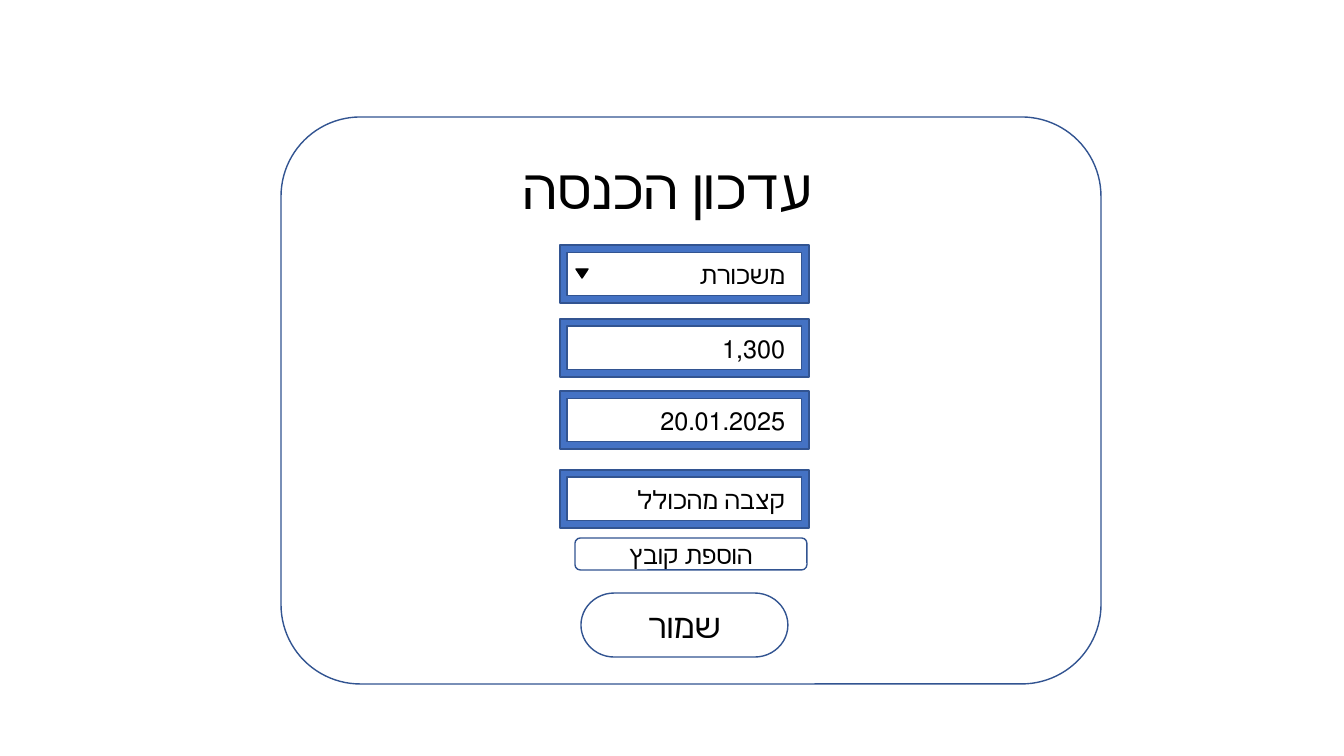
from pptx import Presentation
from pptx.dml.color import RGBColor
from pptx.enum.lang import MSO_LANGUAGE_ID as Lang
from pptx.enum.shapes import MSO_SHAPE as Shape
from pptx.enum.text import MSO_ANCHOR as Anchor, MSO_AUTO_SIZE as AutoSize, PP_ALIGN as Align
from pptx.util import Emu, Pt

EMU_PER_PX = 914400 / 100.8


def px(length):
    return Emu(round(length * EMU_PER_PX))


def color(hex_code):
    return RGBColor.from_string(hex_code)


class FormSlide:
    FONT = "Calibri"
    INK = "000000"
    PAPER = "FFFFFF"
    ACCENT = "4472C4"
    OUTLINE = "325491"

    def __init__(self, slide):
        self.slide = slide

    def set_text(self, frame, text, size, align):
        """Fill a text frame with one right-to-left paragraph."""
        frame.word_wrap = True
        paragraph = frame.paragraphs[0]
        paragraph.alignment = align
        paragraph._p.get_or_add_pPr().set("rtl", "1")
        run = paragraph.add_run()
        run.text = text
        run.font.name = self.FONT
        run.font.size = Pt(size)
        run.font.color.rgb = color(self.INK)
        run.font.language_id = Lang.HEBREW
        return paragraph

    def shape(self, kind, box, fill=PAPER, line=OUTLINE, parent=None):
        owner = parent or self.slide
        shape = owner.shapes.add_shape(kind, *map(px, box))
        shape.shadow.inherit = False
        shape.fill.solid()
        shape.fill.fore_color.rgb = color(fill)
        shape.line.color.rgb = color(line)
        shape.line.width = Pt(1)
        return shape

    def title(self, text, box):
        title = self.slide.shapes.title
        title.left, title.top, title.width, title.height = map(px, box)
        title.text_frame.vertical_anchor = Anchor.MIDDLE
        paragraph = self.set_text(title.text_frame, text, 40, Align.RIGHT)
        paragraph.line_spacing = 0.9

    def button(self, kind, box, text, size):
        button = self.shape(kind, box)
        button.text_frame.vertical_anchor = Anchor.MIDDLE
        self.set_text(button.text_frame, text, size, Align.CENTER)

    def field(self, top, text):
        """Group a framed input box with its value."""
        group = self.slide.shapes.add_group_shape()
        self.shape(Shape.FRAME, (560, top, 249, 58), fill=self.ACCENT, parent=group)
        value = group.shapes.add_textbox(*map(px, (575, top + 9, 220, 40)))
        value.text_frame.auto_size = AutoSize.SHAPE_TO_FIT_TEXT
        self.set_text(value.text_frame, text, 18, Align.RIGHT)


def main():
    deck = Presentation()
    deck.slide_width, deck.slide_height = px(1344), px(756)
    form = FormSlide(deck.slides.add_slide(deck.slide_layouts[5]))

    card = form.shape(Shape.ROUNDED_RECTANGLE, (281, 117, 820, 567))
    card.adjustments[0] = 0.14
    # The card lies behind the title placeholder.
    form.slide.shapes.title._element.addprevious(card._element)
    form.title("עדכון הכנסה", (300, 118, 523, 146))

    fields = {245: "משכורת", 319: "1,300", 391: "20.01.2025", 470: "קצבה מהכולל"}
    for top, text in fields.items():
        form.field(top, text)

    dropdown_arrow = form.shape(
        Shape.FLOWCHART_EXTRACT, (576, 269, 12, 9), fill=form.INK, line=form.INK)
    dropdown_arrow.rotation = 180

    form.button(Shape.ROUNDED_RECTANGLE, (575, 538, 232, 32), "הוספת קובץ", 18)
    form.button(Shape.FLOWCHART_TERMINATOR, (581, 593, 207, 64), "שמור", 24)
    deck.save("out.pptx")


if __name__ == "__main__":
    main()
